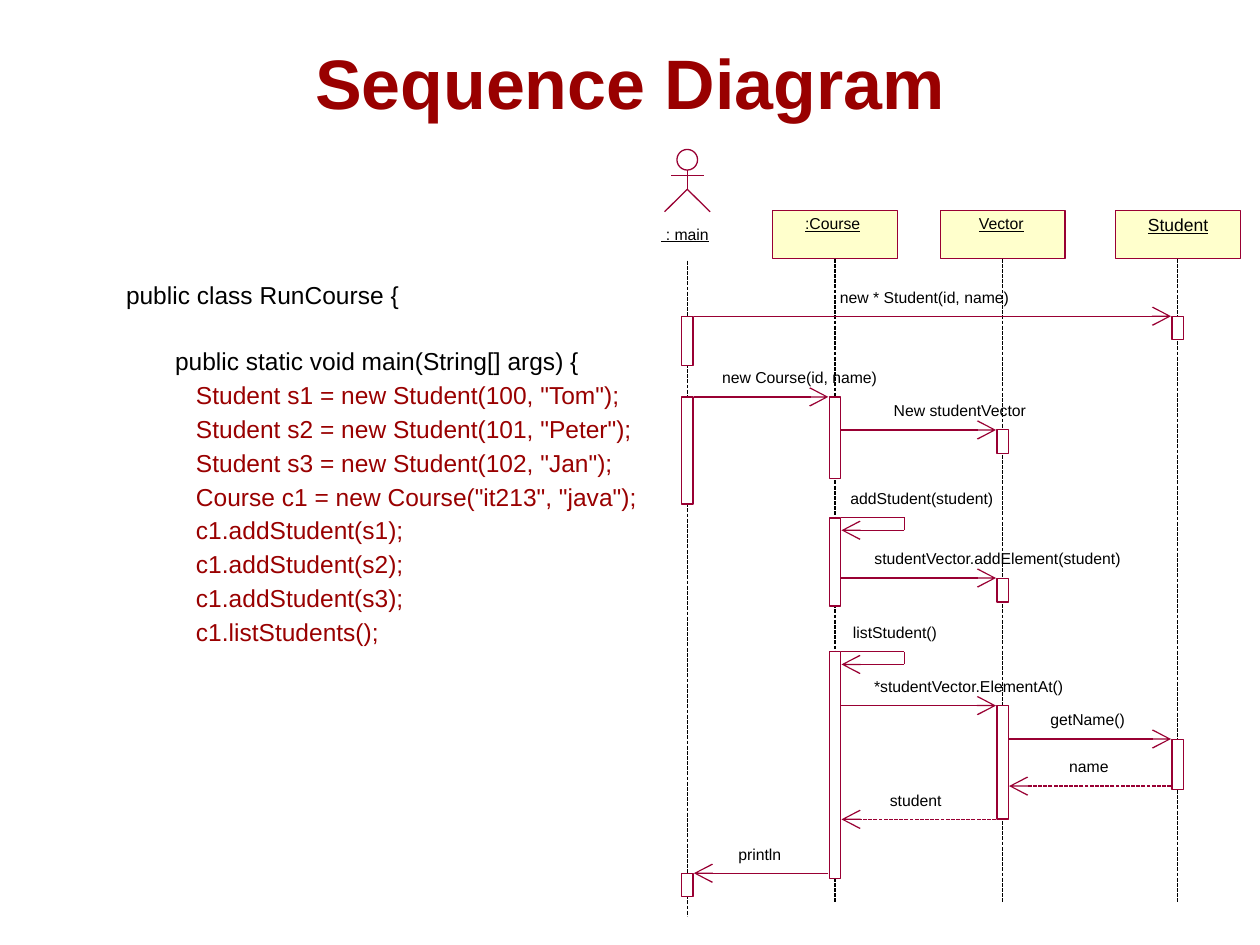
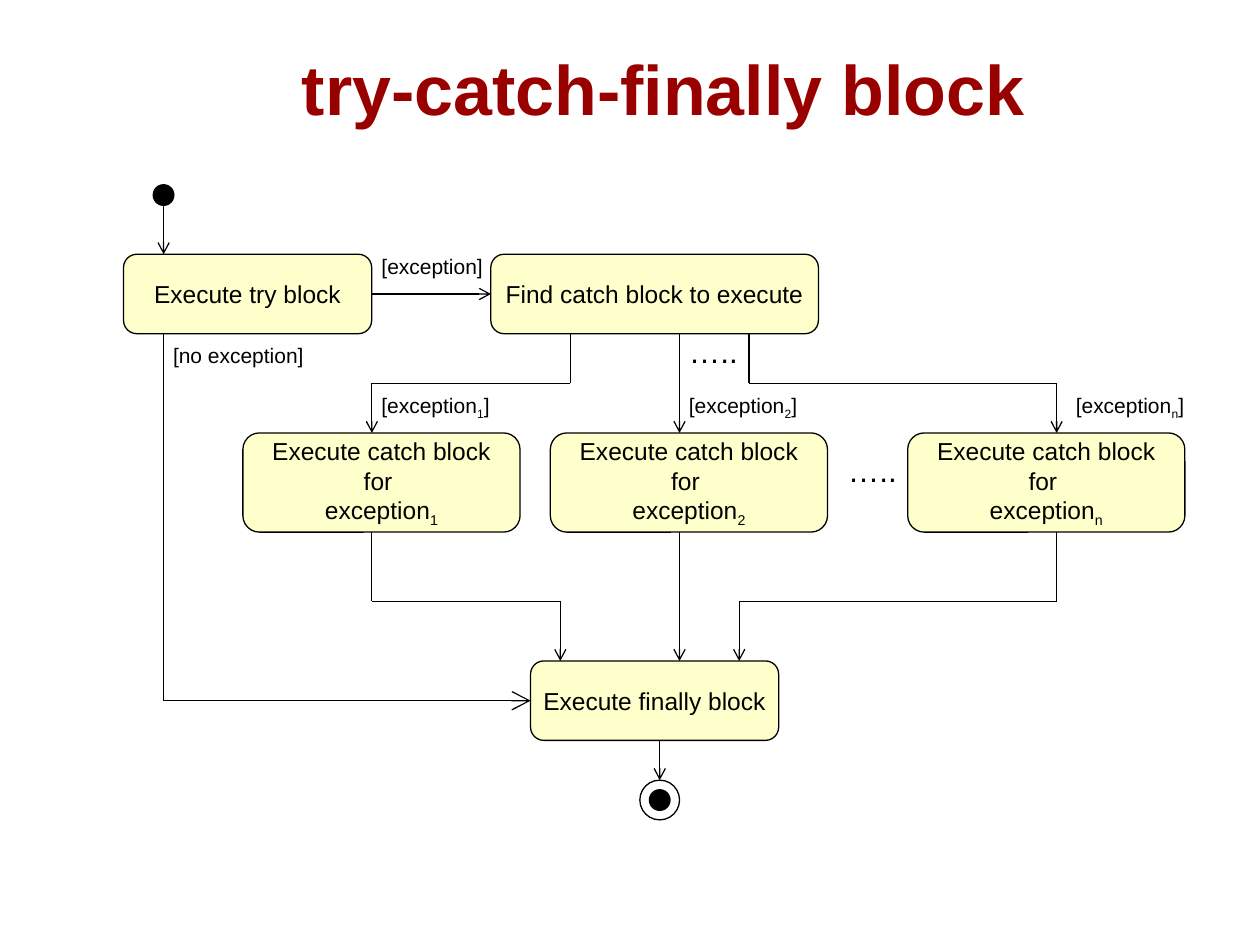
"""Builds a sequence diagram slide and a try-catch-finally flow slide."""
from itertools import pairwise

from lxml.etree import SubElement as Sub
from pptx import Presentation
from pptx.dml.color import RGBColor as Rgb
from pptx.enum.dml import MSO_LINE as Dash
from pptx.enum.shapes import MSO_CONNECTOR as Link, MSO_SHAPE as Kind
from pptx.enum.text import MSO_ANCHOR as Anchor, MSO_AUTO_SIZE as Fit, PP_ALIGN as Align
from pptx.oxml.ns import qn
from pptx.util import Pt

FONT = "Arial"
RED, WINE, CREAM, BLACK, WHITE = "990000", "990033", "FFFFCC", "000000", "FFFFFF"

CODE = [
    (0, BLACK, "public class RunCourse {"),
    (28, BLACK, "public static void main(String[] args) {"),
    (40, RED, 'Student s1 = new Student(100, "Tom");'),
    (40, RED, 'Student s2 = new Student(101, "Peter");'),
    (40, RED, 'Student s3 = new Student(102, "Jan");'),
    (40, RED, 'Course c1 = new Course("it213", "java");'),
    (40, RED, "c1.addStudent(s1);"),
    (40, RED, "c1.addStudent(s2);"),
    (40, RED, "c1.addStudent(s3);"),
    (40, RED, "c1.listStudents();"),
]
LIVES = {"main": 392.75, "course": 477.1, "vector": 572.9, "student": 672.9}
HEADS = [
    ("course", ":Course", 460, 32.4, 9, 0.75),
    ("vector", "Vector", 559.4, 26, 9, 0.75),
    ("student", "Student", 656, 34.6, 10, 0.25),
]
BARS = {
    "main": [(180.7, 28), (226.8, 61.2), (499, 13.5)],
    "course": [(226.8, 46.8), (296, 50.4), (372.2, 129.8)],
    "vector": [(245.5, 13.5), (330.5, 13.5), (403.2, 64.8)],
    "student": [(180.7, 13.5), (422.5, 28.8)],
}
CALLS = [
    ("main", "student", 180.7, "new * Student(id, name)", 480, 98.6),
    ("main", "course", 226.8, "new Course(id, name)", 412.6, 91.4),
    ("course", "vector", 245.7, "New studentVector", 510.7, 77),
    ("course", "course", 295.7, "addStudent(student)", 486, 83.5),
    ("course", "vector", 330.3, "studentVector.addElement(student)", 499.7, 142.6),
    ("course", "course", 372.4, "listStudent()", 487.4, 49),
    ("course", "vector", 403.2, "*studentVector.ElementAt()", 499.5, 110.2),
    ("vector", "student", 422.3, "getName()", 600.3, 44),
    ("student", "vector", 449.2, "name", 611, 23.8),
    ("vector", "course", 468.2, "student", 508.5, 30.2),
    ("course", "main", 499, "println", 421.9, 25.2),
]
REPLIES = {"name", "student"}

STEPS = {
    "try": ("Execute try block", 70.6, 145.3, 141.8, 45.4),
    "find": ("Find catch block to execute", 280.5, 145.3, 187.2, 45.4),
    "last": ("Execute finally block", 303.2, 377.7, 141.8, 45.4),
}
CATCHES = [("1", 138.8), ("2", 314.5), ("n", 518.7)]
NOTES = [
    ("[exception]", 210.9, 141.1, 72.7, 12),
    ("[no exception]", 91.8, 192, 89.3, 12),
    ("[exception_1_]", 210.9, 220.6, 77, 12),
    ("[exception_2_]", 386.6, 220.6, 77, 12),
    ("[exception_n_]", 607.7, 220.6, 77, 12),
    ("…..", 386.6, 186.3, 42.5, 18),
    ("…..", 477.4, 254, 42.5, 18),
]
ROUTES = [
    [(93.5, 116.9), (93.5, 145.3)],
    [(326, 190.7), (326, 219), (212.5, 219), (212.5, 247.4)],
    [(388.3, 190.7), (388.3, 247.4)],
    [(428, 190.7), (428, 219), (603.8, 219), (603.8, 247.4)],
    [(212.5, 304.1), (212.5, 343.6), (320.2, 343.6), (320.2, 377.7)],
    [(388.3, 304.1), (388.3, 377.7)],
    [(603.8, 304.1), (603.8, 343.6), (422.4, 343.6), (422.4, 377.7)],
    [(377, 423.1), (377, 445.8)],
]
DOTS = [(87.6, 105.6, 11.8, BLACK), (365.6, 445.8, 22.7, WHITE), (371.1, 451.3, 11.8, BLACK)]


def rgb(code):
    return Rgb.from_string(code)


def pts(*sizes):
    return [Pt(size) for size in sizes]


def text(frame, words, size=14, color=BLACK, bold=False, under=False, align=Align.LEFT,
         anchor=Anchor.TOP, pad=(7.2, 3.6), wrap=False, lead=None, grow=False):
    frame.word_wrap, frame.vertical_anchor = wrap, anchor
    frame.auto_size = Fit.SHAPE_TO_FIT_TEXT if grow else Fit.NONE
    frame.margin_left = frame.margin_right = Pt(pad[0])
    frame.margin_top = frame.margin_bottom = Pt(pad[1])
    for i, row in enumerate(words.split("\n")):
        para = frame.add_paragraph() if i else frame.paragraphs[0]
        para.alignment, para.line_spacing = align, lead
        for j, part in enumerate(row.split("_")):
            if not part:
                continue
            run = para.add_run()
            run.text = part
            font = run.font
            font.name, font.size, font.bold, font.underline = FONT, Pt(size), bold, under
            font.color.rgb = rgb(color)
            if j % 2:
                run._r.get_or_add_rPr().set("baseline", "-25000")
    return frame


def label(shapes, words, x, y, w, h, **style):
    return text(shapes.add_textbox(*pts(x, y, w, h)).text_frame, words, **style)


def paint(shape, fill, color, width=0.75):
    shape.shadow.inherit = False
    if fill:
        shape.fill.solid()
        shape.fill.fore_color.rgb = rgb(fill)
    else:
        shape.fill.background()
    shape.line.color.rgb = rgb(color)
    shape.line.width = Pt(width)
    return shape


def box(shapes, kind, x, y, w, h, fill, color, width=0.75):
    return paint(shapes.add_shape(kind, *pts(x, y, w, h)), fill, color, width)


def line(shapes, start, end, color=BLACK, head=None, dash=False):
    wire = shapes.add_connector(Link.STRAIGHT, *pts(*start, *end))
    wire.line.color.rgb = rgb(color)
    wire.line.width = Pt(0.75)
    if dash:
        wire.line.dash_style = Dash.SQUARE_DOT
    if head:
        Sub(wire.line._get_or_add_ln(), qn("a:tailEnd"), type="arrow", w=head, len=head)
    Sub(wire._element.spPr, qn("a:effectLst"))
    return wire


def route(shapes, stops, head, **style):
    legs = list(pairwise(stops))
    wires = [line(shapes, *leg, **style) for leg in legs[:-1]]
    return wires + [line(shapes, *legs[-1], head=head, **style)]


def page(deck, title, x, y, w):
    shapes = deck.slides.add_slide(deck.slide_layouts[6]).shapes
    label(shapes, title, x, y, w, 90, size=40, color=RED, bold=True, align=Align.CENTER,
          anchor=Anchor.MIDDLE, pad=(0, 0), wrap=True, lead=0.81)
    return shapes


def actor(shapes):
    x = LIVES["main"]
    body = shapes.add_group_shape().shapes
    box(body, Kind.OVAL, x - 5.9, 85.4, 11.8, 11.8, None, WINE)
    line(body, (x, 97.2), (x, 108.2), WINE)
    line(body, (x - 9.3, 100.2), (x + 9.3, 100.2), WINE)
    pen = body.build_freeform(*pts(x - 13, 121))
    pen.add_line_segments([pts(x, 108.2), pts(x + 13, 121)], close=False)
    paint(pen.convert_to_shape(), None, WINE)
    label(shapes, " : main", 378, 128.2, 28, 11.5, size=9, under=True, pad=(0, 0), grow=True)


def sequence(deck):
    shapes = page(deck, "Sequence Diagram", 54, 5.8, 612)
    frame = label(shapes, "\n".join(row[2] for row in CODE), 72, 157.7, 306, 340,
                  pad=(0, 0), wrap=True, lead=1.15)
    for para, (indent, color, _) in zip(frame.paragraphs, CODE):
        para._p.get_or_add_pPr().set("marL", str(Pt(indent)))
        para.runs[0].font.color.rgb = rgb(color)
    frame.paragraphs[1].space_before = Pt(18.5)

    actor(shapes)
    x = LIVES["main"]
    line(shapes, (x, 149), (x, 523.4), dash=True)
    for who, name, left, wide, size, width in HEADS:
        x = LIVES[who]
        head = box(shapes, Kind.RECTANGLE, x - 35.65, 120.2, 71.3, 27.6, CREAM, WINE, width)
        label(shapes, name, left, 122.4, wide, 11.5, size=size, under=True, pad=(0, 0), grow=True)
        line(shapes, (x, 147.8), (x, 516.2), dash=True).begin_connect(head, 2)
    for who, spans in BARS.items():
        for top, tall in spans:
            box(shapes, Kind.RECTANGLE, LIVES[who] - 3.25, top, 6.5, tall, WHITE, WINE)

    gap = 3.75
    for src, dst, y, words, left, wide in CALLS:
        a, b = LIVES[src], LIVES[dst]
        if src == dst:
            near, far = a + gap, a + gap + 36
            stops = [(near, y), (far, y), (far, y + 7.3), (near, y + 7.3)]
        else:
            side = gap if a < b else -gap
            stops = [(a + side, y), (b - side, y)]
        route(shapes, stops, "lg", color=WINE, dash=words in REPLIES)
        label(shapes, words, left, y - 16.5, wide, 11.5, size=9, pad=(0, 0), grow=True)


def flow(deck):
    shapes = page(deck, "try-catch-finally block", 139, 9.4, 480)
    steps = dict(STEPS)
    for mark, x in CATCHES:
        words = f"Execute catch block\nfor \nexception_{mark}"
        steps[mark] = (words, x, 247.4, 158.4, 56.7)
    cards = {}
    for key, (words, *area) in steps.items():
        cards[key] = box(shapes, Kind.FLOWCHART_ALTERNATE_PROCESS, *area, CREAM, BLACK)
        text(cards[key].text_frame, words, align=Align.CENTER, anchor=Anchor.MIDDLE)
    for x, y, size, fill in DOTS:
        box(shapes, Kind.OVAL, x, y, size, size, fill, BLACK)
    for stops in ROUTES:
        route(shapes, stops, "med")
    wire = line(shapes, (212.4, 168), (280.5, 168), head="med")
    wire.begin_connect(cards["try"], 3)
    wire.end_connect(cards["find"], 1)
    skip = route(shapes, [(93.5, 190.7), (93.5, 400.4), (303.2, 400.4)], "lg")
    skip[-1].end_connect(cards["last"], 1)
    for words, x, y, wide, size in NOTES:
        label(shapes, words, x, y, wide, size * 1.2 + 7.2, size=size, grow=True)


def main():
    deck = Presentation()
    deck.slide_width, deck.slide_height = pts(720, 540)
    sequence(deck)
    flow(deck)
    deck.save("out.pptx")


if __name__ == "__main__":
    main()
